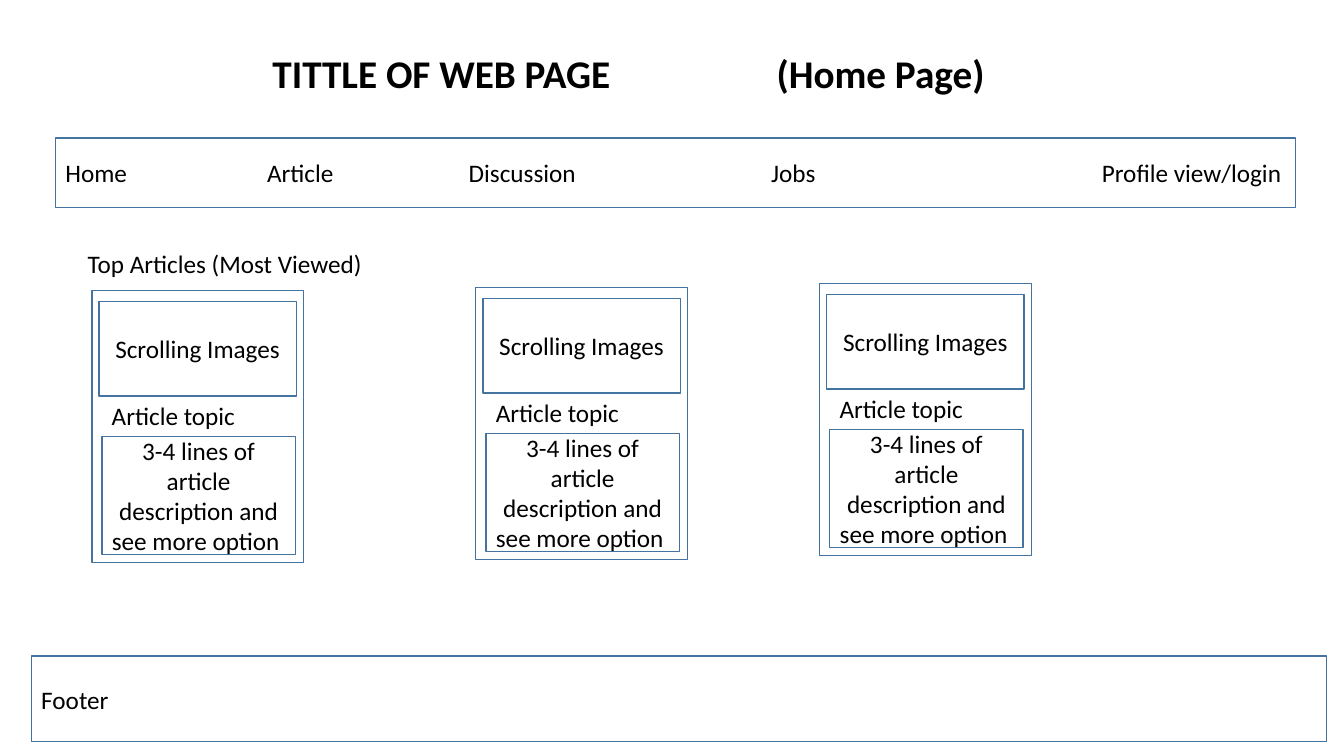
from dataclasses import dataclass
from lxml import etree
from pptx import Presentation, util as u
from pptx.dml.color import RGBColor as Rgb
from pptx.enum import shapes, text
from pptx.oxml import ns


@dataclass(frozen=True)
class Theme:
    font: str = "Calibri"
    ink: Rgb = Rgb.from_string("000000")
    edge: Rgb = Rgb.from_string("43739E")
    head: int = 28
    body: int = 18
    rule: int = 1


look = Theme()
left, mid = text.PP_ALIGN.LEFT, text.PP_ALIGN.CENTER


def part(box, x, y, w, h):
    """Box inside another box, given in percent of its size."""
    bx, by, bw, bh = box
    return (round(bx + bw * x / 100), round(by + bh * y / 100),
            round(bw * w / 100), round(bh * h / 100))


def write(shape, words, align=left, size=look.body, bold=False, stops=()):
    frame = shape.text_frame
    frame.text = words
    frame.vertical_anchor = text.MSO_ANCHOR.MIDDLE
    para = frame.paragraphs[0]
    para.alignment = align
    for run in para.runs:
        font = run.font
        font.name, font.size, font.bold = look.font, u.Pt(size), bold
        font.color.rgb = look.ink
    if stops:
        tabs = etree.SubElement(para._p.get_or_add_pPr(), ns.qn("a:tabLst"))
        for stop in stops:
            etree.SubElement(tabs, ns.qn("a:tab"), pos=str(u.Inches(stop)), algn="l")


def frame(slide, box, words="", align=left, stops=()):
    """Outlined rectangle, with or without text."""
    shape = slide.shapes.add_shape(shapes.MSO_SHAPE.RECTANGLE, *box)
    shape.shadow.inherit = False
    shape.fill.background()
    shape.line.color.rgb = look.edge
    shape.line.width = u.Pt(look.rule)
    if words:
        write(shape, words, align, stops=stops)


def label(slide, box, words, wrap=True):
    shape = slide.shapes.add_textbox(*box)
    write(shape, words)
    shape.text_frame.word_wrap = wrap
    shape.text_frame.auto_size = text.MSO_AUTO_SIZE.SHAPE_TO_FIT_TEXT


def title(slide, box):
    shape = slide.shapes.title
    shape.left, shape.top, shape.width, shape.height = box
    write(shape, "TITTLE OF WEB PAGE\t(Home Page)", mid, look.head, True, [5])
    shape.text_frame.auto_size = text.MSO_AUTO_SIZE.SHAPE_TO_FIT_TEXT


def menu(slide, box):
    items = ["Home", "Article", "Discussion", "Jobs", "Profile view/login"]
    frame(slide, box, "\t".join(items), stops=[2, 4, 7, 10.28])


def card(slide, box):
    frame(slide, box)
    frame(slide, part(box, 3.33, 4.07, 93.33, 34.81), "Scrolling Images", mid)
    label(slide, part(box, 4.76, 38.52, 68.1, 14.81), "Article topic")
    frame(slide, part(box, 4.76, 53.7, 91.43, 43.33),
          "3-4 lines of article description and see more option ", mid)


def home(deck):
    slide = deck.slides.add_slide(deck.slide_layouts[5])
    page = (0, 0, deck.slide_width, deck.slide_height)
    # Header
    title(slide, part(page, 3.37, 5.87, 86.78, 7.6))
    menu(slide, part(page, 4.13, 18.27, 92.25, 9.2))
    # Top articles
    label(slide, part(page, 5.78, 32.13, 22.13, 5.33),
          "Top Articles (Most Viewed)", wrap=False)
    for x, y in [(6.83, 38.4), (35.4, 38), (60.98, 37.47)]:
        card(slide, part(page, x, y, 15.75, 36))
    # Footer
    frame(slide, part(page, 2.33, 86.8, 96.38, 11.33), "Footer")


deck = Presentation()
deck.slide_width, deck.slide_height = u.Inches(13.33), u.Inches(7.5)
home(deck)
deck.save("out.pptx")
